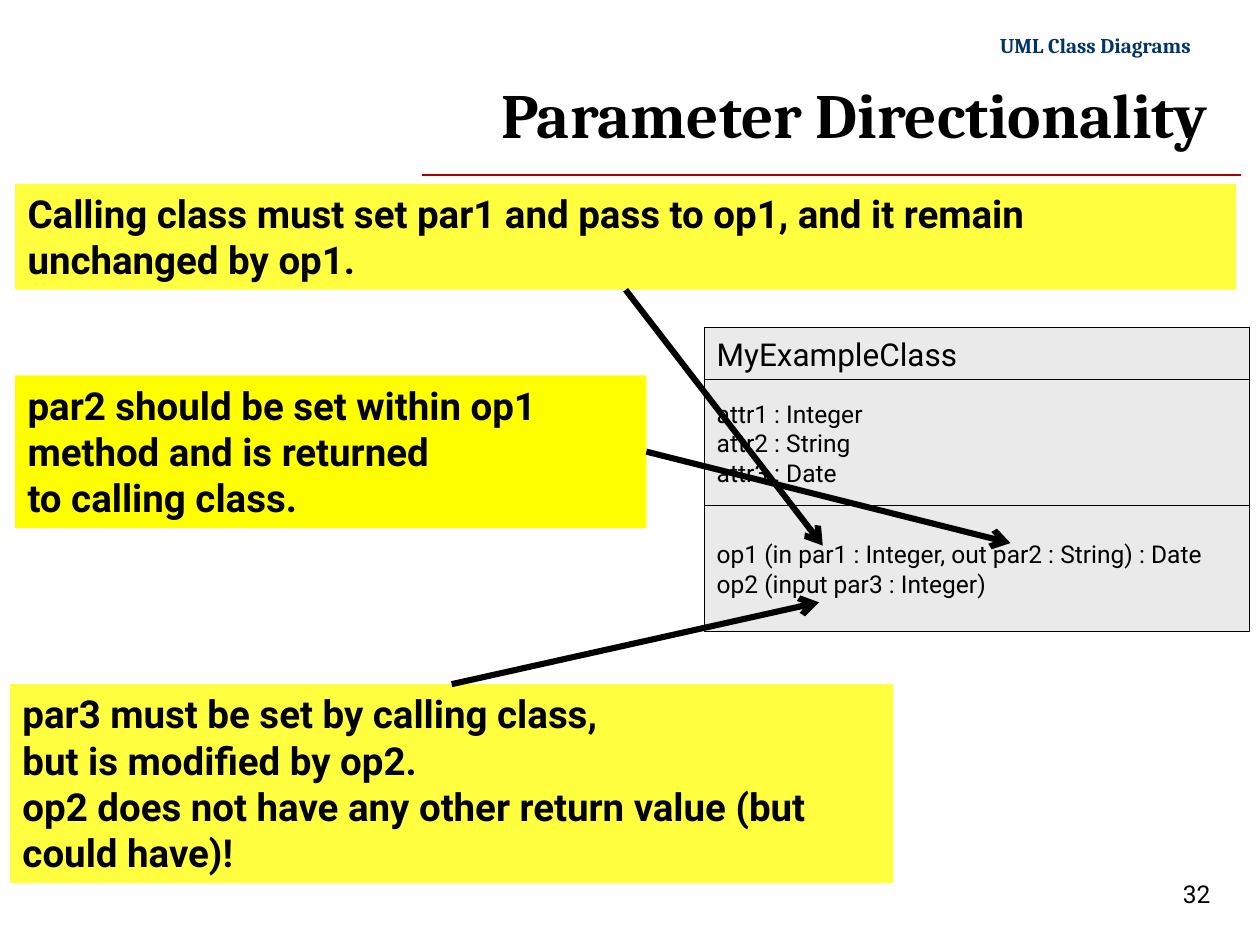
from dataclasses import dataclass

from lxml.etree import SubElement
from pptx import Presentation
from pptx.dml.color import RGBColor
from pptx.enum.shapes import MSO_CONNECTOR, MSO_SHAPE
from pptx.enum.text import MSO_ANCHOR as Anchor, PP_ALIGN as Align
from pptx.oxml.ns import qn
from pptx.util import Inches, Pt

BLACK = RGBColor(0x00, 0x00, 0x00)
NAVY = RGBColor(0x00, 0x33, 0x66)
RED = RGBColor(0xA8, 0x00, 0x00)
YELLOW = RGBColor(0xFF, 0xFF, 0x00)
GREY = RGBColor(0xEA, 0xEA, 0xEA)
HEADING_FONT, BODY_FONT = "Cambria", "Roboto"

# The slide is a grid of 100 columns and 75 rows.
COLUMNS, ROWS = 100, 75
CELL = Inches(0.1)
BOTTOM, TOP, RIGHT = 2, 0, 3


@dataclass(frozen=True)
class Area:
    """A rectangle in grid columns and rows."""
    left: float
    top: float
    width: float
    height: float

    def lengths(self) -> list[int]:
        return [cells(n) for n in (self.left, self.top, self.width, self.height)]


@dataclass(frozen=True)
class TextStyle:
    size: float
    font: str = BODY_FONT
    bold: bool = False
    color: RGBColor = BLACK
    align: Align = Align.LEFT
    anchor: Anchor = Anchor.TOP


@dataclass(frozen=True)
class Compartment:
    lines: tuple[str, ...]
    size: float
    rows: float


@dataclass(frozen=True)
class Callout:
    """A yellow note whose arrow leaves from one side and ends at a target."""
    area: Area
    lines: tuple[str, ...]
    side: int
    target: tuple[float, float]
    opacity: int = 100


HEADER = TextStyle(12, HEADING_FONT, True, NAVY, Align.RIGHT)
TITLE = TextStyle(36, HEADING_FONT, True, BLACK, Align.RIGHT, Anchor.MIDDLE)
NOTE = TextStyle(22, bold=True)
PAGE_NUMBER = TextStyle(14)

CLASS_LEFT, CLASS_TOP, CLASS_WIDTH = 55.9, 26, 43.3
COMPARTMENTS = (
    Compartment(("MyExampleClass",), 18, 4.15),
    Compartment(("attr1 : Integer", "attr2 : String", "attr3 : Date"), 14, 10),
    Compartment(("op1 (in par1 : Integer, out par2 : String) : Date",
                 "op2 (input par3 : Integer)"), 14, 10),
)
CALLOUTS = (
    Callout(Area(1.2, 14.6, 96.9, 8.4),
            ("Calling class must set par1 and pass to op1, "
             "and it remain unchanged by op1.",),
            BOTTOM, (65.3, 43.3), 75),
    Callout(Area(0.8, 54.3, 70.1, 15.8),
            ("par3 must be set by calling class,",
             "but is modified by op2.",
             "op2 does not have any other return value (but could have)!"),
            TOP, (65, 47.8), 75),
    Callout(Area(1.2, 29.8, 50.1, 12.1),
            ("par2 should be set within op1 method and is returned",
             "to calling class."),
            RIGHT, (80.2, 43.1)),
)


def cells(count: float) -> int:
    return round(count * CELL)


def write(shape, lines: tuple[str, ...], style: TextStyle) -> None:
    frame = shape.text_frame
    frame.word_wrap = True
    frame.vertical_anchor = style.anchor
    frame.text = "\n".join(lines)
    for paragraph in frame.paragraphs:
        paragraph.alignment = style.align
        for run in paragraph.runs:
            run.font.name = style.font
            run.font.size = Pt(style.size)
            run.font.bold = style.bold
            run.font.color.rgb = style.color


def add_text(slide, area: Area, text: str, style: TextStyle) -> None:
    write(slide.shapes.add_textbox(*area.lengths()), (text,), style)


def add_box(shapes, area: Area, fill: RGBColor):
    box = shapes.add_shape(MSO_SHAPE.RECTANGLE, *area.lengths())
    box.shadow.inherit = False
    box.fill.solid()
    box.fill.fore_color.rgb = fill
    box.line.fill.background()
    return box


def add_line(slide, start: tuple[float, float], end: tuple[float, float],
             color: RGBColor, width: float):
    line = slide.shapes.add_connector(
        MSO_CONNECTOR.STRAIGHT, *(cells(n) for n in start + end))
    line.line.color.rgb = color
    line.line.width = Pt(width)
    SubElement(line._element.spPr, qn("a:effectLst"))
    return line


def add_class(slide) -> None:
    group = slide.shapes.add_group_shape()
    top = CLASS_TOP
    for part in COMPARTMENTS:
        box = add_box(group.shapes, Area(CLASS_LEFT, top, CLASS_WIDTH, part.rows), GREY)
        box.line.color.rgb = BLACK
        box.line.width = Pt(0.75)
        write(box, part.lines, TextStyle(part.size, anchor=Anchor.MIDDLE))
        top += part.rows


def add_callout(slide, callout: Callout) -> None:
    box = add_box(slide.shapes, callout.area, YELLOW)
    if callout.opacity < 100:
        color = box._element.spPr.find(qn("a:solidFill"))[0]
        SubElement(color, qn("a:alpha"), val=str(callout.opacity * 1000))
    write(box, callout.lines, NOTE)
    arrow = add_line(slide, (0, 0), callout.target, BLACK, 3.5)
    arrow.begin_connect(box, callout.side)
    SubElement(arrow.line._get_or_add_ln(), qn("a:tailEnd"), type="arrow")


def main() -> None:
    presentation = Presentation()
    presentation.slide_width = cells(COLUMNS)
    presentation.slide_height = cells(ROWS)
    slide = presentation.slides.add_slide(presentation.slide_layouts[6])

    add_line(slide, (33.5, 13.9), (98.5, 13.9), RED, 0.75)
    add_text(slide, Area(76.5, 2.1, 19, 3), "UML Class Diagrams", HEADER)
    add_text(slide, Area(92.9, 69.3, 7.1, 3.4), "32", PAGE_NUMBER)
    add_text(slide, Area(20.1, 5.2, 76.7, 7.5), "Parameter Directionality", TITLE)
    add_class(slide)
    for callout in CALLOUTS:
        add_callout(slide, callout)

    presentation.save("out.pptx")


if __name__ == "__main__":
    main()
